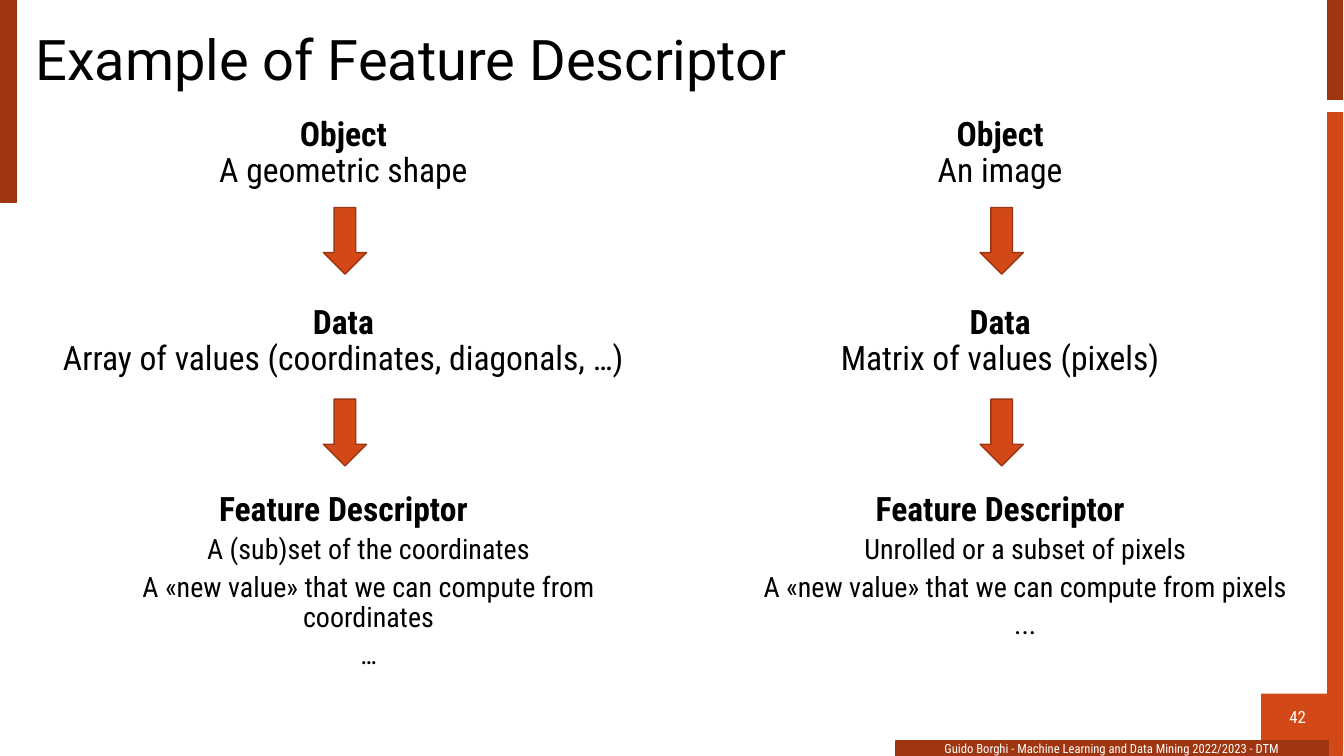
from dataclasses import dataclass

from pptx import Presentation
from pptx import util as u
from pptx.dml.color import RGBColor
from pptx.enum import shapes, text


@dataclass(frozen=True)
class Theme:
    orange: str = "D34817"
    rust: str = "9E3611"
    arrow_edge: str = "9C3511"
    ink: str = "000000"
    paper: str = "FFFFFF"
    title_font: str = "Roboto"
    body_font: str = "Roboto Condensed"
    title: int = 40
    stage: int = 24
    detail: int = 20
    number: int = 12
    footer: int = 9


THEME = Theme()
TITLE = "Example of Feature Descriptor"
FOOTER = "Guido Borghi - Machine Learning and Data Mining 2022/2023 - DTM"
PAGE_NUMBER = "42"
COLUMNS = [
    {
        "stages": [("Object", "A geometric shape"),
                   ("Data", "Array of values (coordinates, diagonals, …)"),
                   ("Feature Descriptor", None)],
        "details": ["A (sub)set of the coordinates",
                    "A «new value» that we can compute from coordinates",
                    "…"],
    },
    {
        "stages": [("Object", "An image"),
                   ("Data", "Matrix of values (pixels)"),
                   ("Feature Descriptor", None)],
        "details": ["Unrolled or a subset of pixels",
                    "A «new value» that we can compute from pixels",
                    "..."],
    },
]

NUMBER_AREA = (31.78, 17.48, 1.85, 1.19)
FOOTER_AREA = (22.58, 18.54, 10.87, 0.64)
TITLE_AREA = (0.64, 0.61, 32.39, 1.91)
BARS = [
    ((33.46, 2.83, 0.38, 16.2), THEME.orange),
    ((33.46, 0, 0.38, 2.51), THEME.rust),
    ((0.03, 0, 0.38, 5.1), THEME.rust),
    ((22.58, 18.67, 10.9, 0.38), THEME.rust),
]
COLUMN_LEFT, COLUMN_PITCH = 0.64, 16.55
COLUMN_TOP, COLUMN_WIDTH, COLUMN_HEIGHT = 2.84, 16.03, 14.33
ARROW_INSET, ARROW_TOPS, ARROW_SIZE = 7.51, (5.23, 10.06), (1.09, 1.68)
STAGE_GAP, DETAIL_GAP, DETAIL_INDENT = 82, 5, 1.27


def place(area):
    return [u.Cm(value) for value in area]


def add_block(page, kind, area, fill, edge=None):
    block = page.shapes.add_shape(kind, *place(area))
    block.shadow.inherit = False
    block.fill.solid()
    block.fill.fore_color.rgb = RGBColor.from_string(fill)
    if edge:
        block.line.color.rgb = RGBColor.from_string(edge)
        block.line.width = u.Pt(1)
    else:
        block.line.fill.background()
    return block


def add_box(page, area, anchor=text.MSO_ANCHOR.TOP):
    frame = page.shapes.add_textbox(*place(area)).text_frame
    frame.word_wrap = True
    frame.vertical_anchor = anchor
    return frame


def style(para, size, color=THEME.ink, face=THEME.body_font,
          align=text.PP_ALIGN.CENTER, spacing=0.9):
    para.alignment = align
    para.line_spacing = spacing
    para.font.size = u.Pt(size)
    para.font.name = face
    para.font.color.rgb = RGBColor.from_string(color)


def add_column(page, left, column):
    frame = add_box(page, (left, COLUMN_TOP, COLUMN_WIDTH, COLUMN_HEIGHT))
    for index, (heading, description) in enumerate(column["stages"]):
        para = frame.add_paragraph() if index else frame.paragraphs[0]
        style(para, THEME.stage)
        para.space_before = u.Pt(STAGE_GAP if index else 0)
        span = para.add_run()
        span.text = heading
        span.font.bold = True
        if description:
            para.add_line_break()
            para.add_run().text = description
    for detail in column["details"]:
        para = frame.add_paragraph()
        para.text = detail
        para.level = 1
        para._p.get_or_add_pPr().set("marL", str(u.Cm(DETAIL_INDENT)))
        style(para, THEME.detail)
        para.space_before = u.Pt(DETAIL_GAP)
    for top in ARROW_TOPS:
        add_block(page, shapes.MSO_SHAPE.DOWN_ARROW,
                  (left + ARROW_INSET, top, *ARROW_SIZE),
                  THEME.orange, THEME.arrow_edge)


def main():
    deck = Presentation()
    deck.slide_width, deck.slide_height = u.Cm(33.87), u.Cm(19.05)
    page = deck.slides.add_slide(deck.slide_layouts[6])

    number = add_block(page, shapes.MSO_SHAPE.RECTANGLE, NUMBER_AREA, THEME.orange)
    number.text_frame.text = PAGE_NUMBER
    number.text_frame.vertical_anchor = text.MSO_ANCHOR.MIDDLE
    style(number.text_frame.paragraphs[0], THEME.number, THEME.paper, spacing=1.0)

    for area, color in BARS:
        add_block(page, shapes.MSO_SHAPE.RECTANGLE, area, color, color)

    footer = add_box(page, FOOTER_AREA)
    footer.text = FOOTER
    style(footer.paragraphs[0], THEME.footer, THEME.paper, spacing=1.0)

    title = add_box(page, TITLE_AREA, text.MSO_ANCHOR.MIDDLE)
    title.text = TITLE
    style(title.paragraphs[0], THEME.title, face=THEME.title_font,
          align=text.PP_ALIGN.LEFT)

    for index, column in enumerate(COLUMNS):
        add_column(page, COLUMN_LEFT + index * COLUMN_PITCH, column)

    deck.save("out.pptx")


if __name__ == "__main__":
    main()
